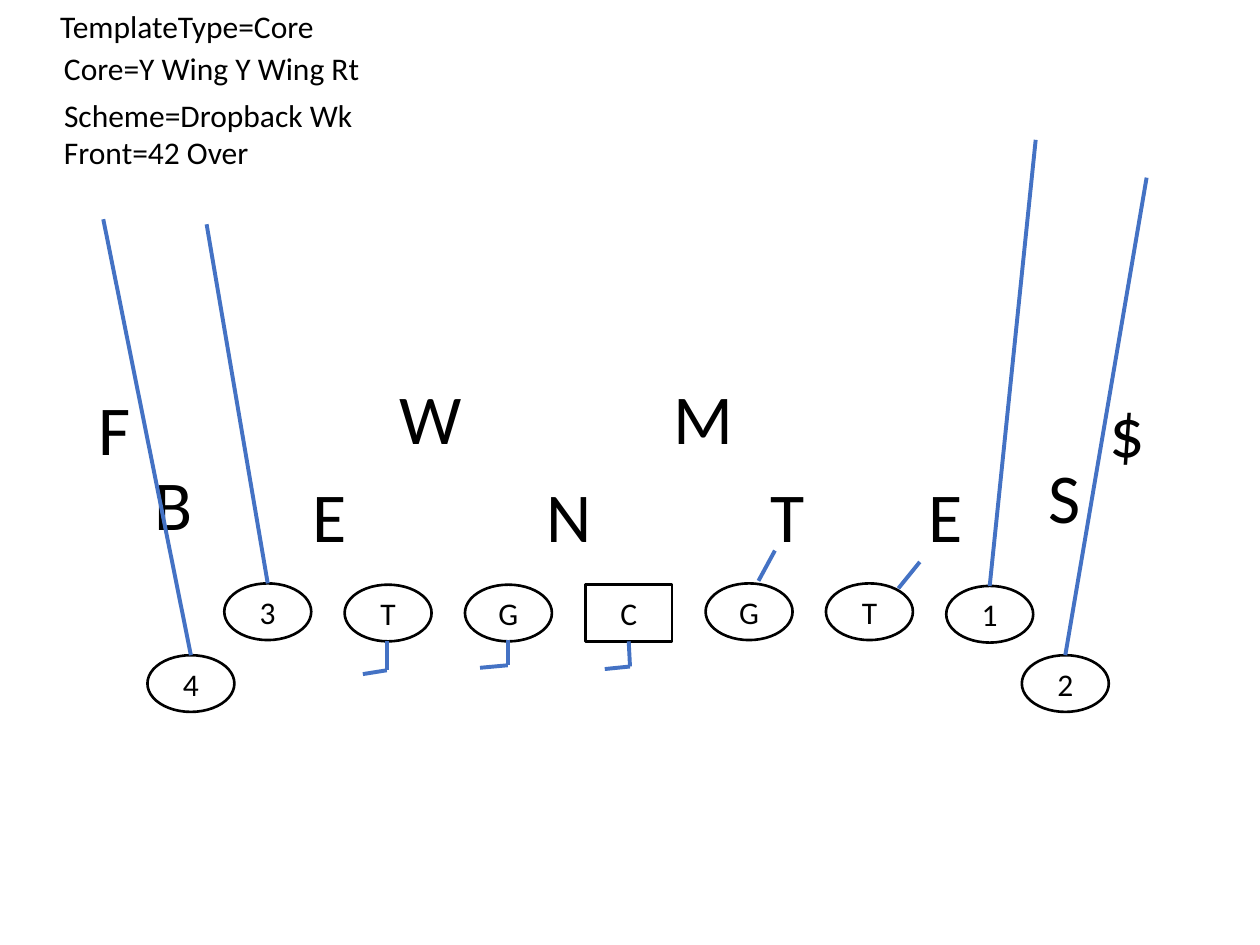
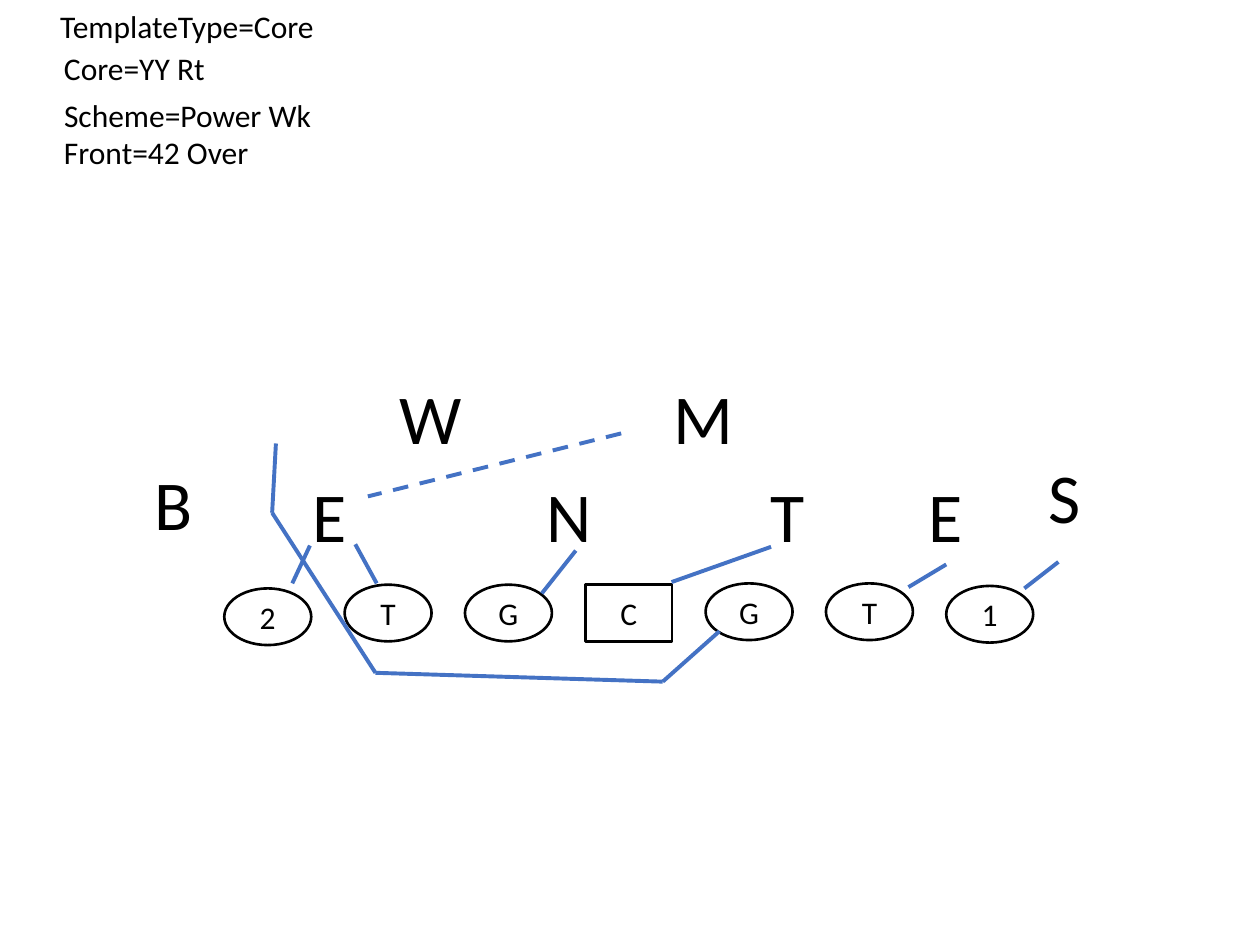
from itertools import pairwise

from lxml.etree import SubElement
from pptx import Presentation
from pptx.dml.color import RGBColor
from pptx.enum.dml import MSO_LINE
from pptx.enum.shapes import MSO_CONNECTOR as Connector, MSO_SHAPE as Shape
from pptx.enum.text import MSO_ANCHOR as Anchor, MSO_AUTO_SIZE as AutoSize, PP_ALIGN as Align
from pptx.oxml.ns import qn
from pptx.util import Inches, Pt

FONT = "Calibri"
BLACK, WHITE, BLUE = "000000", "FFFFFF", "4472C4"
HEADER_BOX = (0.38, 0.01)
FIELD_BOX = (0, 0)
TOP, BOTTOM = 0, 2

# Offensive line, left to right: evenly spaced between the two ends
LINE_LEFT, LINE_RIGHT = 1.78, 7.51
PLAYER_WIDTH, PLAYER_HEIGHT = 0.69, 0.45
LINEMEN = [("T", 4.64), ("G", 4.64), ("C", 4.64), ("G", 4.63), ("T", 4.63), ("1", 4.65)]

# Defenders: letter, left, top, width
FRONT = [
    ("N", 4.24, 3.7, 0.56), ("T", 6.02, 3.7, 0.48), ("E", 7.27, 3.7, 0.48),
    ("E", 2.38, 3.7, 0.48), ("W", 3.07, 2.92, 0.7), ("M", 5.25, 2.92, 0.7),
    ("S", 8.22, 3.55, 0.48), ("B", 1.13, 3.61, 0.51),
]
CORNERS = [("$", 8.71, 3.03, 0.39), ("F", 0.68, 3.01, 0.35)]


def color(value):
    return RGBColor.from_string(value)


def style_text(frame, text, size):
    para = frame.paragraphs[0]
    para.text = text
    para.font.name = FONT
    para.font.size = Pt(size)
    para.font.color.rgb = color(BLACK)
    return para


def add_label(page, text, left, top, width, height, size, wrap=False):
    label = page.shapes.add_textbox(Inches(left), Inches(top), Inches(width), Inches(height))
    frame = label.text_frame
    frame.word_wrap = wrap
    frame.auto_size = AutoSize.SHAPE_TO_FIT_TEXT
    style_text(frame, text, size)


def add_player(page, box, name, left, top):
    kind = Shape.RECTANGLE if name == "C" else Shape.OVAL
    player = page.shapes.add_shape(kind, Inches(box[0] + left), Inches(box[1] + top),
                                   Inches(PLAYER_WIDTH), Inches(PLAYER_HEIGHT))
    player.shadow.inherit = False
    player.fill.solid()
    player.fill.fore_color.rgb = color(WHITE)
    player.line.color.rgb = color(BLACK)
    player.line.width = Pt(1.5)
    player.text_frame.vertical_anchor = Anchor.MIDDLE
    style_text(player.text_frame, name, 18).alignment = Align.CENTER
    return player


def add_route(page, box, points, dashed=False, player=None, site=TOP):
    """Draw straight legs through the points; the first may be joined to a player."""
    places = [(Inches(box[0] + x), Inches(box[1] + y)) for x, y in points]
    for index, (start, end) in enumerate(pairwise(places)):
        leg = page.shapes.add_connector(Connector.STRAIGHT, *start, *end)
        leg.line.color.rgb = color(BLUE)
        leg.line.width = Pt(2.25)
        if dashed:
            leg.line.dash_style = MSO_LINE.DASH
        SubElement(leg._element.spPr, qn("a:effectLst"))
        if player is not None and index == 0:
            leg.begin_connect(player, site)


def add_header(page, box, core, core_width, scheme, scheme_width):
    left, top = box
    rows = [
        ("TemplateType=Core", 0, 0, 2.24),
        (f"Core={core}", 0.03, 0.33, core_width),
        (f"Scheme={scheme}", 0.03, 0.7, scheme_width),
        ("Front=42 Over", 0.03, 1, 1.74),
    ]
    for text, across, down, width in rows:
        add_label(page, text, left + across, top + down, width, 0.4, 18)


def add_offense(page, box, end_name, end_top):
    """Place the line by equal steps and return its players, left to right."""
    step = (LINE_RIGHT - LINE_LEFT) / len(LINEMEN)
    return [add_player(page, box, name, LINE_LEFT + index * step, top)
            for index, (name, top) in enumerate([(end_name, end_top)] + LINEMEN)]


def add_defense(page, box, defenders, wrap=False):
    for letter, left, top, width in defenders:
        add_label(page, letter, box[0] + left, box[1] + top, width, 0.77, 40, wrap)


def add_dropback(page, box):
    line = add_offense(page, box, "3", 4.63)
    right_wing = add_player(page, box, "2", 8.11, 5.2)
    left_wing = add_player(page, box, "4", 1.17, 5.2)
    add_defense(page, box, FRONT)
    add_defense(page, box, CORNERS, wrap=True)

    # Pass protection
    add_route(page, box, [(7.3, 4.46), (7.13, 4.67)])
    add_route(page, box, [(6.15, 4.37), (6.02, 4.61)])
    add_route(page, box, [(4.99, 5.09), (5, 5.29), (4.8, 5.31)], player=line[3], site=BOTTOM)
    add_route(page, box, [(4.03, 5.08), (4.03, 5.28), (3.81, 5.3)])
    add_route(page, box, [(3.07, 5.09), (3.07, 5.32), (2.88, 5.35)])

    # Receivers going deep
    for receiver, start, end in [
        (line[6], (7.86, 4.65), (8.22, 1.11)),
        (right_wing, (8.46, 5.2), (9.1, 1.41)),
        (line[0], (2.12, 4.63), (1.64, 1.78)),
        (left_wing, (1.51, 5.2), (0.82, 1.74)),
    ]:
        add_route(page, box, [start, end], player=receiver)


def add_power(page, box):
    add_offense(page, box, "2", 4.67)
    add_defense(page, box, FRONT)

    # Blocks
    for block in [
        [(8.4, 4.46), (8.13, 4.67)],
        [(7.51, 4.48), (7.21, 4.66)],
        [(6.12, 4.34), (5.33, 4.62)],
        [(4.57, 4.37), (4.3, 4.71)],
        [(2.46, 4.33), (2.32, 4.63)],
        [(2.82, 4.32), (2.99, 4.63)],
    ]:
        add_route(page, box, block)

    # Climb to the linebacker, then the pulling guard
    add_route(page, box, [(4.93, 3.44), (2.92, 3.94)], dashed=True)
    add_route(page, box, [(5.71, 5.01), (5.26, 5.41), (2.98, 5.34), (2.16, 4.07), (2.19, 3.52)])


def main():
    deck = Presentation()
    deck.slide_width, deck.slide_height = Inches(10), Inches(7.5)
    plays = [
        (("Y Wing Y Wing Rt", 2.57, "Dropback Wk", 2.52), add_dropback),
        (("YY Rt", 1.33, "Power Wk", 2.18), add_power),
    ]
    for heading, add_play in plays:
        page = deck.slides.add_slide(deck.slide_layouts[6])
        add_header(page, HEADER_BOX, *heading)
        add_play(page, FIELD_BOX)
    deck.save("out.pptx")


if __name__ == "__main__":
    main()
